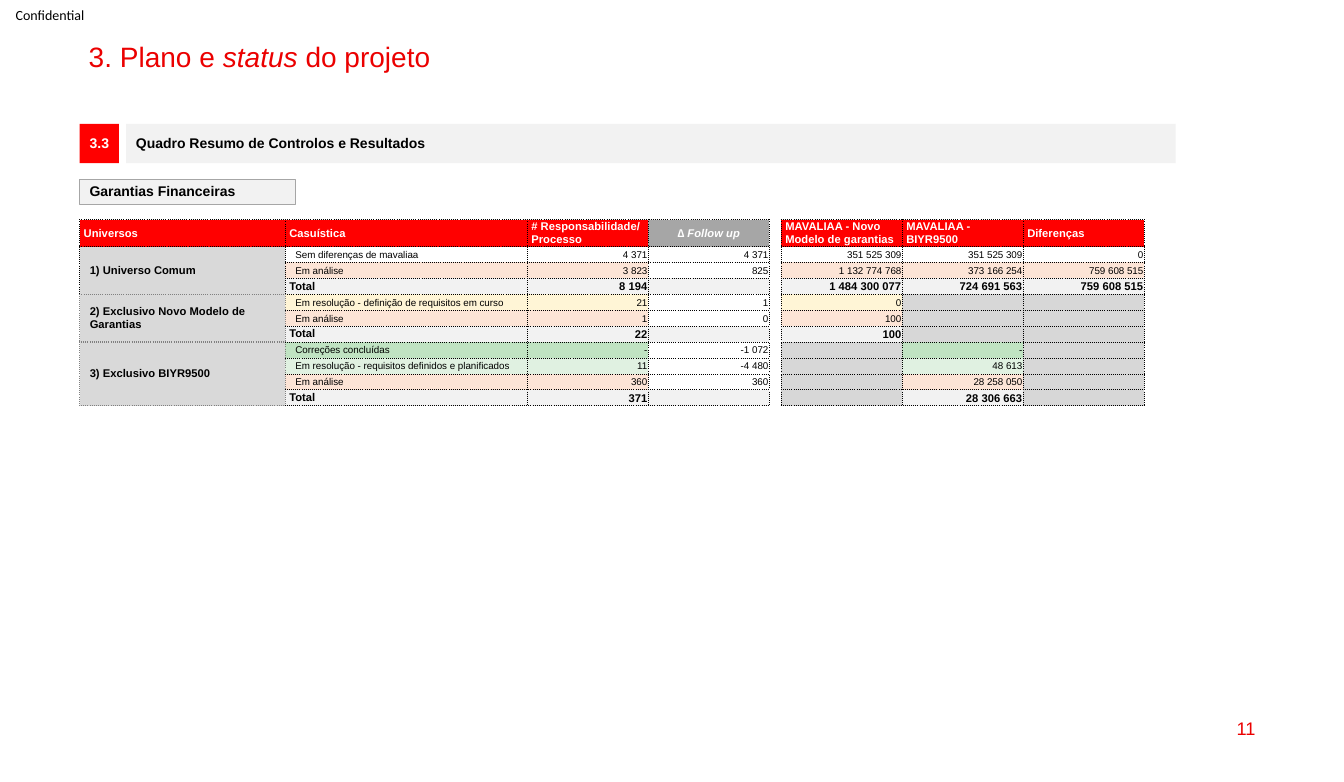
from lxml import etree
from pptx import Presentation
from pptx.dml.color import RGBColor
from pptx.enum import shapes, text
from pptx.oxml import ns
from pptx.util import Inches, Pt

RED = RGBColor(0xFF, 0, 0)
DARK = RGBColor(0xEB, 0, 0)
WHITE = RGBColor(0xFF, 0xFF, 0xFF)
BLACK = RGBColor(0, 0, 0)
LIGHT = RGBColor(0xF2, 0xF2, 0xF2)
GRAY = RGBColor(0xA6, 0xA6, 0xA6)
EDGE = RGBColor(0x80, 0x80, 0x80)
GROUP = RGBColor(0xD9, 0xD9, 0xD9)
BLANK = RGBColor(0xD7, 0xD7, 0xD7)
PEACH = RGBColor(0xFC, 0xE4, 0xD6)
CREAM = RGBColor(0xFF, 0xF5, 0xD6)
GREEN = RGBColor(0xC0, 0xE3, 0xC2)
MINT = RGBColor(0xE0, 0xF1, 0xE1)

LEFT, CENTER, RIGHT = (text.PP_ALIGN.LEFT, text.PP_ALIGN.CENTER,
                       text.PP_ALIGN.RIGHT)
MIDDLE = text.MSO_ANCHOR.MIDDLE
SIDES = ("left", "top", "right", "bottom")
PLAIN = {"size": Pt(7), "name": "Arial", "bold": False}
BOLD = {"size": Pt(8), "name": "Arial", "bold": True}
LABEL = {"size": Pt(10), "name": "Arial", "bold": True}

WIDTHS = [2.04, 2.4, 1.2, 1.2, 0.11, 1.2, 1.2, 1.2]
GAP = 4
HEADS = ["Universos", "Casuística", "# Responsabilidade/\nProcesso",
         "∆ Follow up", None, "MAVALIAA - Novo Modelo de garantias",
         "MAVALIAA - BIYR9500", "Diferenças"]
GROUPS = [
    ("1) Universo Comum", [
        ("Sem diferenças de mavaliaa", None, "4 371", "4 371",
         "351 525 309", "351 525 309", "0"),
        ("Em análise", PEACH, "3 823", "825",
         "1 132 774 768", "373 166 254", "759 608 515"),
        ("Total", LIGHT, "8 194", None,
         "1 484 300 077", "724 691 563", "759 608 515")]),
    ("2) Exclusivo Novo Modelo de Garantias", [
        ("Em resolução - definição de requisitos em curso", CREAM,
         "21", "1", "0", None, None),
        ("Em análise", PEACH, "1", "0", "100", None, None),
        ("Total", LIGHT, "22", None, "100", None, None)]),
    ("3) Exclusivo BIYR9500", [
        ("Correções concluídas", GREEN, "-", "-1 072", None, "-", None),
        ("Em resolução - requisitos definidos e planificados", MINT,
         "11", "-4 480", None, "48 613", None),
        ("Em análise", PEACH, "360", "360", None, "28 258 050", None),
        ("Total", LIGHT, "371", None, None, "28 306 663", None)]),
]


def apply(item, form):
    for key, value in form.items():
        setattr(item, key, value)


def write(para, words, form, color):
    run = para.add_run()
    run.text = words
    apply(run.font, form)
    run.font.color.rgb = color
    return run


def label(slide, box, words, fill, color, align=LEFT, line=None):
    shape = slide.shapes.add_shape(shapes.MSO_SHAPE.RECTANGLE,
                                   *map(Inches, box))
    shape.shadow.inherit = False
    shape.fill.solid()
    shape.fill.fore_color.rgb = fill
    if line:
        shape.line.color.rgb = line
        shape.line.width = Pt(0.75)
    else:
        shape.line.fill.background()
    shape.text_frame.vertical_anchor = MIDDLE
    para = shape.text_frame.paragraphs[0]
    apply(para, {"alignment": align, "line_spacing": 0.9})
    write(para, words, LABEL, color)


def note(slide, box, words, form, color, align, pad, wrap):
    frame = slide.shapes.add_textbox(*map(Inches, box)).text_frame
    apply(frame, {"word_wrap": wrap, "vertical_anchor": MIDDLE})
    for side, gap in zip(SIDES, pad):
        setattr(frame, f"margin_{side}", Inches(gap))
    frame.paragraphs[0].alignment = align
    write(frame.paragraphs[0], words, form, color)


def title(slide):
    head = slide.shapes.title
    apply(head, dict(zip(("left", "top", "width", "height"),
                         map(Inches, (0.78, 0.38, 11.77, 0.34)))))
    frame = head.text_frame
    apply(frame, {"word_wrap": True, "auto_size": text.MSO_AUTO_SIZE.NONE,
                  "vertical_anchor": text.MSO_ANCHOR.TOP})
    para = frame.paragraphs[0]
    apply(para, {"alignment": LEFT, "line_spacing": 0.9})
    for words, slant in (("3. Plano e ", False), ("status", True),
                         (" do projeto", False)):
        write(para, words, {"size": Pt(20), "name": "Arial",
                            "italic": slant}, DARK)


def border(cell, sides, grays):
    props = cell._tc.get_or_add_tcPr()
    for spot, side in enumerate(sides):
        gray = side in grays
        line = etree.Element(ns.qn(f"a:ln{side}"),
                             w=str(Pt(1) if gray else Pt(0.5)))
        fill = etree.SubElement(line, ns.qn("a:solidFill"))
        etree.SubElement(fill, ns.qn("a:srgbClr"),
                         val=str(EDGE if gray else BLACK))
        etree.SubElement(line, ns.qn("a:prstDash"), val="sysDot")
        props.insert(spot, line)


def put(cell, words, form=PLAIN, fill=None, color=BLACK, align=LEFT,
        pad=(0.04, 0, 0.04, 0)):
    cell.vertical_anchor = MIDDLE
    for side, gap in zip(SIDES, pad):
        setattr(cell, f"margin_{side}", Inches(gap))
    if fill is None:
        cell.fill.background()
    else:
        cell.fill.solid()
        cell.fill.fore_color.rgb = fill
    frame = cell.text_frame
    if not words:
        frame.paragraphs[0]._p.get_or_add_endParaRPr().set("sz", "700")
        return
    for spot, part in enumerate(words.split("\n")):
        para = frame.add_paragraph() if spot else frame.paragraphs[0]
        para.alignment = align
        write(para, part, form, color)


def entry(grid, row, data):
    name, tint, count, delta, *sums = data
    total = name == "Total"
    form = BOLD if total else PLAIN
    put(grid.cell(row, 1), name, form, tint,
        pad=(0.04, 0, 0.04, 0) if total else (0.1, 0.01, 0.01, 0))
    for col, words in enumerate([count, delta, None, *sums], 2):
        fill = tint
        if col == GAP or col == 3 and not total:
            fill = None
        elif col > GAP and words is None:
            fill = BLANK
        put(grid.cell(row, col), words, form, fill, align=RIGHT,
            pad=(0.01, 0.01, 0.01, 0))


def summary(slide):
    count = 1 + sum(len(rows) for _, rows in GROUPS)
    grid = slide.shapes.add_table(
        count, len(WIDTHS), Inches(0.79), Inches(2.18),
        Inches(sum(WIDTHS)), Inches(1.84)).table
    apply(grid, {"first_row": False, "horz_banding": False})
    for col, width in zip(grid.columns, WIDTHS):
        col.width = Inches(width)
    for spot, row in enumerate(grid.rows):
        row.height = Inches((1.84 - 0.26) / (count - 1) if spot else 0.26)
    for col, words in enumerate(HEADS):
        delta = col == 3
        put(grid.cell(0, col), words, {**BOLD, "italic": delta},
            None if col == GAP else GRAY if delta else RED, WHITE,
            CENTER if delta else LEFT)
    row = 1
    for name, rows in GROUPS:
        last = row + len(rows) - 1
        put(grid.cell(row, 0), name, BOLD, GROUP, pad=(0.1, 0, 0.1, 0))
        grid.cell(row, 0).merge(grid.cell(last, 0))
        for spot, data in enumerate(rows, row):
            entry(grid, spot, data)
            for col in range(len(WIDTHS)):
                grays = ""
                if col == 0:
                    grays = "LRTB" if row > 1 else "B"
                elif col == 1 and row > 1:
                    grays = "L"
                border(grid.cell(spot, col),
                       "LR" if col == GAP else "LRTB", grays)
        row = last + 1
    for col in range(len(WIDTHS)):
        border(grid.cell(0, col), "LR" if col == GAP else "LRTB", "")


def main():
    deck = Presentation()
    apply(deck, {"slide_width": Inches(13.33), "slide_height": Inches(7.76)})
    slide = deck.slides.add_slide(deck.slide_layouts[5])
    note(slide, (0, 0, 0.99, 0.29), "Confidential",
         {"size": Pt(10), "name": "Calibri"}, BLACK, CENTER,
         (0, 0, 0, 0), False)
    title(slide)
    note(slide, (9.55, 7.02, 3, 0.41), "11",
         {"size": Pt(13), "name": "Arial"}, DARK, RIGHT,
         (0.1, 0.05, 0.1, 0.05), True)
    label(slide, (0.79, 1.23, 0.39, 0.39), "3.3", RED, WHITE, CENTER)
    label(slide, (1.25, 1.23, 10.41, 0.39),
          "Quadro Resumo de Controlos e Resultados", LIGHT, BLACK)
    label(slide, (0.79, 1.78, 2.14, 0.25), "Garantias Financeiras",
          LIGHT, BLACK, line=GRAY)
    summary(slide)
    deck.save("out.pptx")


if __name__ == "__main__":
    main()
